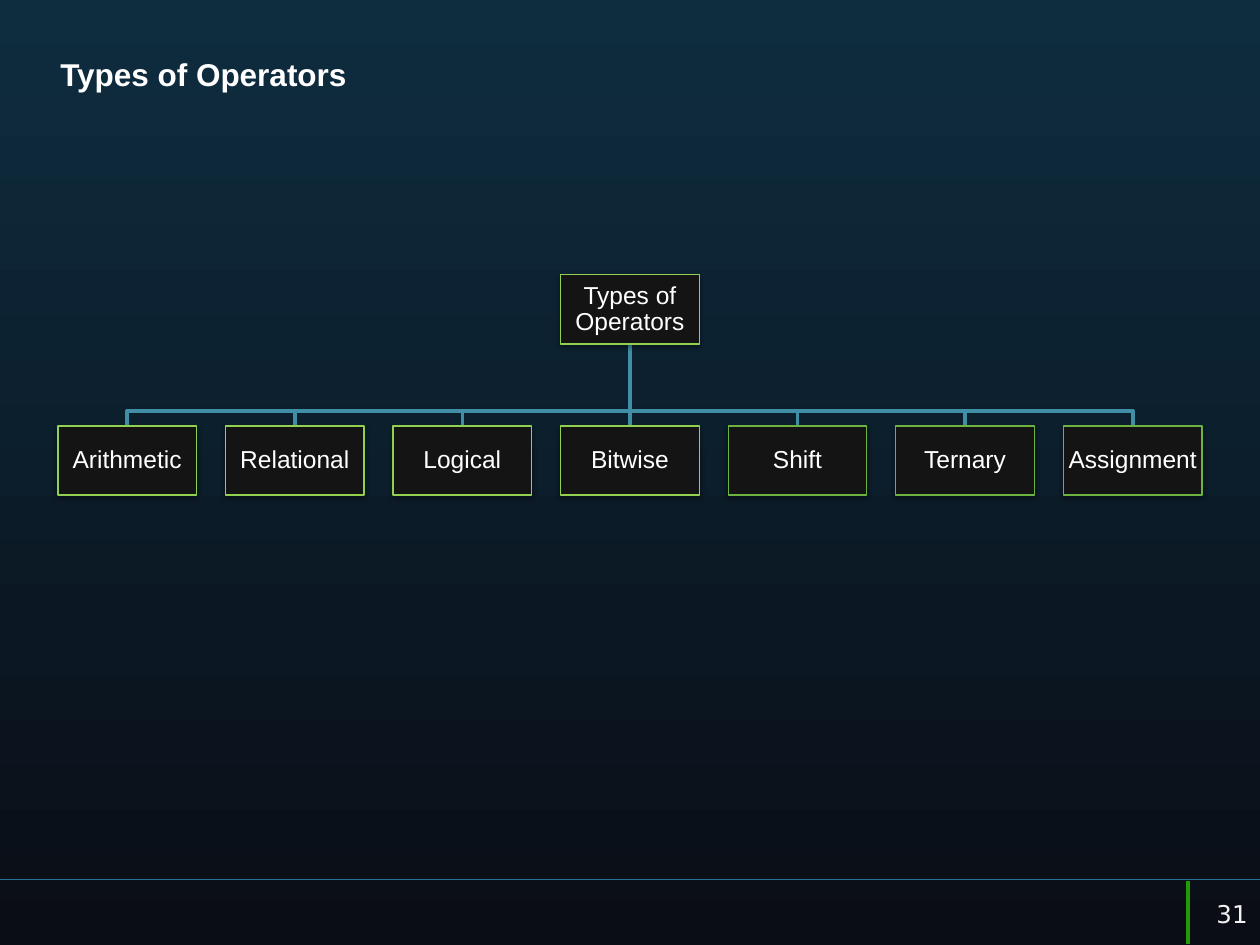
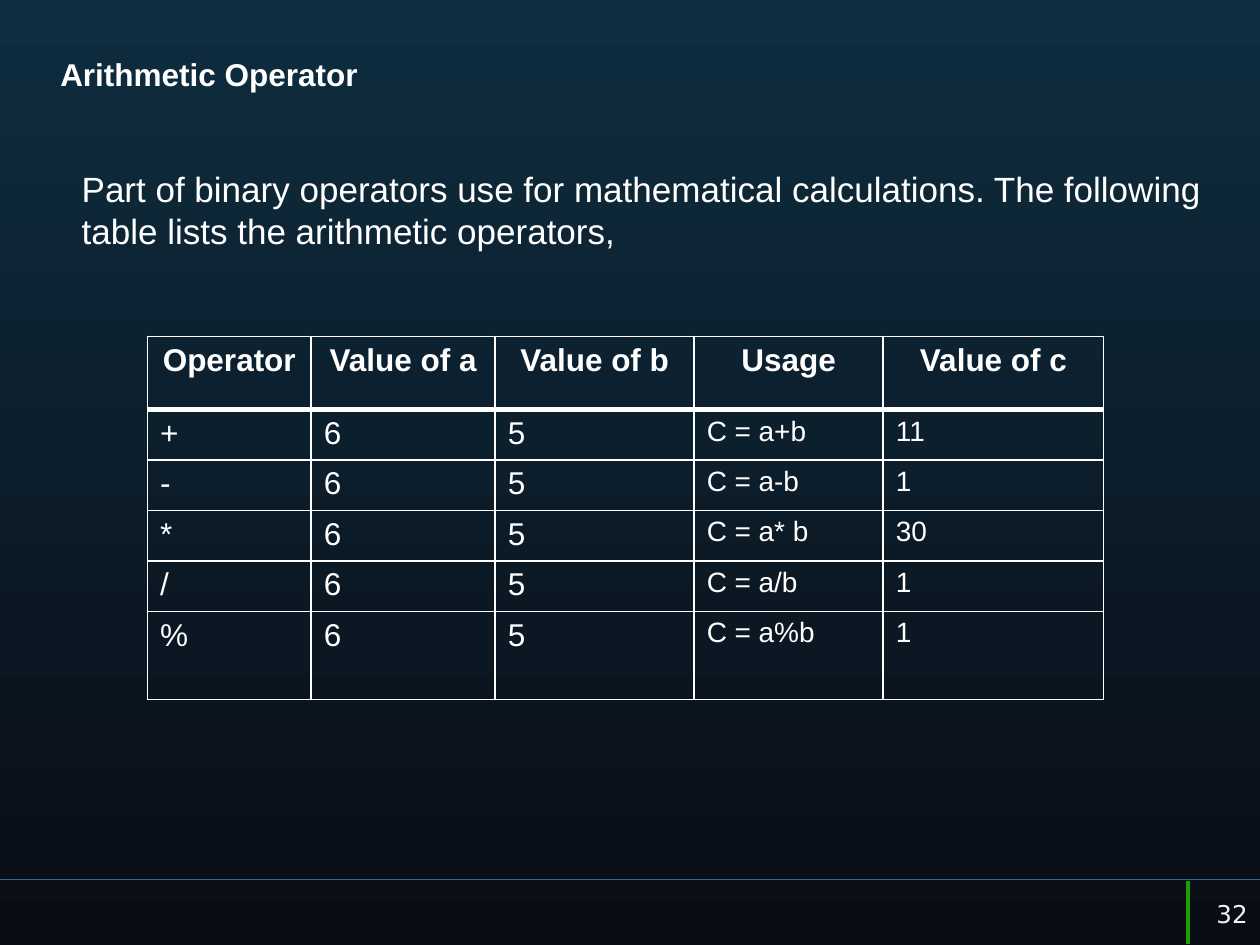
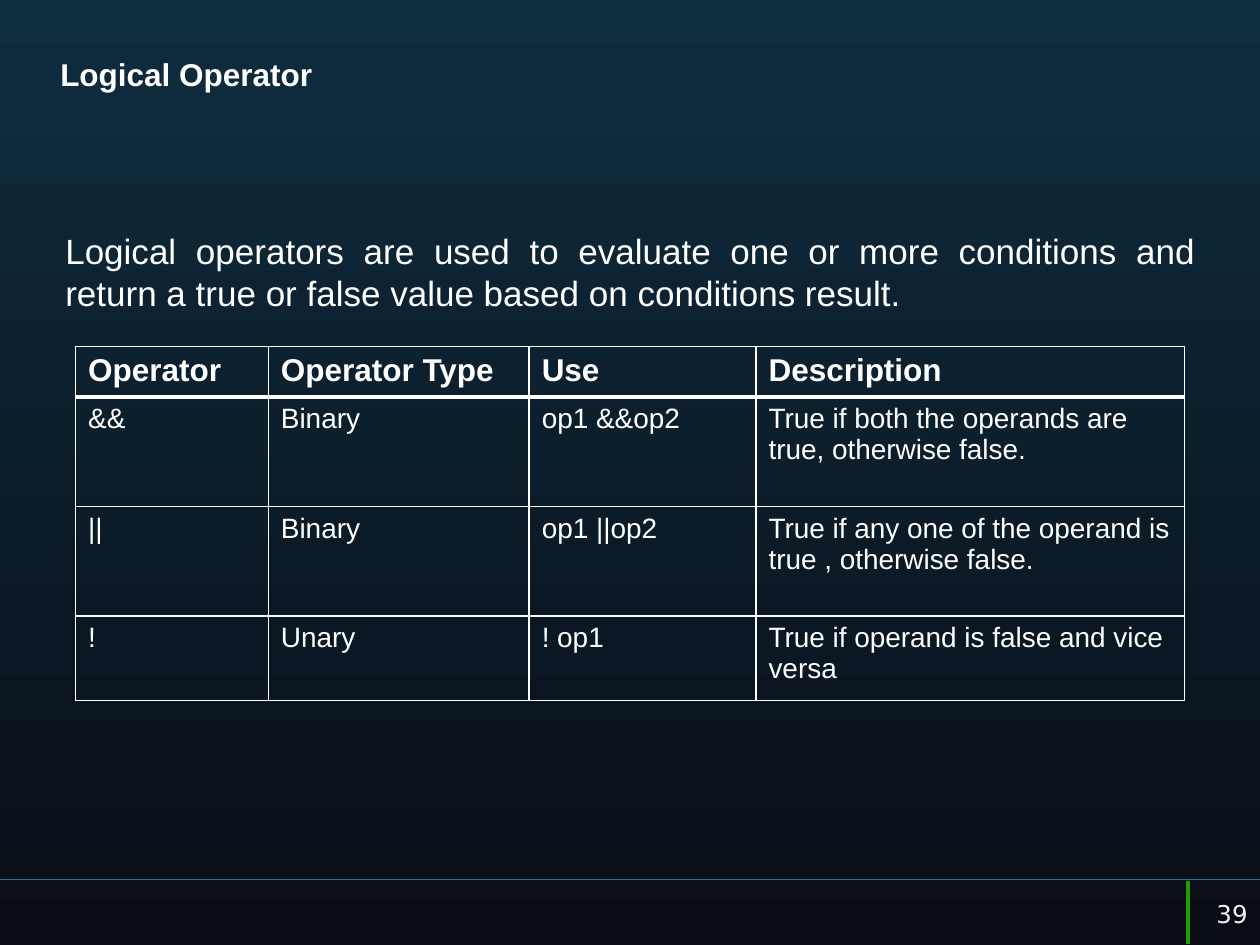
"""Build three slides on operators: a type tree and two operator tables."""
from dataclasses import dataclass
from typing import Optional

from lxml import etree
from pptx import Presentation
from pptx.dml.color import RGBColor
from pptx.enum.shapes import MSO_CONNECTOR, MSO_SHAPE
from pptx.enum.text import MSO_ANCHOR, PP_ALIGN
from pptx.oxml.ns import qn
from pptx.util import Emu, Pt

LEFT, CENTER, RIGHT, JUSTIFY = PP_ALIGN.LEFT, PP_ALIGN.CENTER, PP_ALIGN.RIGHT, PP_ALIGN.JUSTIFY
TOP, MIDDLE = MSO_ANCHOR.TOP, MSO_ANCHOR.MIDDLE
RECT, STRAIGHT = MSO_SHAPE.RECTANGLE, MSO_CONNECTOR.STRAIGHT

EMU_PER_PX = 9144
SLIDE_W, SLIDE_H = 1000, 750

WHITE = RGBColor(0xFF, 0xFF, 0xFF)
OFF_WHITE = RGBColor(0xF2, 0xF2, 0xF2)
BG_TOP = RGBColor(0x0E, 0x2D, 0x3F)
BG_BOTTOM = RGBColor(0x0A, 0x0D, 0x16)
RULE_BLUE = RGBColor(0x28, 0x70, 0x94)
RULE_GREEN = RGBColor(0x20, 0x9D, 0x03)
BRANCH = RGBColor(0x40, 0x8F, 0xA6)
NODE_FILL = RGBColor(0x14, 0x14, 0x14)
LIME = RGBColor(0x92, 0xD0, 0x50)
GREEN = RGBColor(0x6D, 0xB3, 0x3F)

NODE_W, NODE_H, NODE_STEP = 110, 55, 133
ROOT_TOP, LEAF_TOP, LEAF_LEFT, BUS_Y = 218, 338, 46, 326


@dataclass(frozen=True)
class Box:
    """A rectangle in px."""
    x: int
    y: int
    w: int
    h: int

    def emu(self) -> list[Emu]:
        """Return left, top, width and height in EMU."""
        return [px(v) for v in (self.x, self.y, self.w, self.h)]


@dataclass(frozen=True)
class Style:
    """The look of a run and its paragraph."""
    size: int
    color: RGBColor = WHITE
    bold: bool = False
    align: PP_ALIGN = LEFT
    font: str = "Arial"


@dataclass(frozen=True)
class Node:
    """A box of the type tree."""
    text: str
    line: RGBColor


@dataclass(frozen=True)
class Grid:
    """A table with its measures, body text sizes per column and rows of text."""
    x: int
    y: int
    cols: list[int]
    rows: list[int]
    sizes: list[int]
    head_align: PP_ALIGN
    cells: list[list[str]]


TITLE = Style(18, bold=True)
NUMBER = Style(14, OFF_WHITE, align=RIGHT, font="DejaVu Sans")
NODE = Style(14, align=CENTER)

ROOT = Node("Types of Operators", LIME)
LEAVES = [
    Node("Arithmetic", LIME), Node("Relational", LIME), Node("Logical", LIME),
    Node("Bitwise", LIME), Node("Shift", GREEN), Node("Ternary", GREEN),
    Node("Assignment", GREEN),
]

ARITHMETIC = Grid(
    117, 267, [130, 146, 158, 150, 175], [58, 38, 38, 38, 38, 70],
    [18, 18, 18, 16, 16], CENTER,
    [
        ["Operator", "Value of a", "Value of b", "Usage", "Value of c"],
        ["+", "6", "5", "C = a+b", "11"],
        ["-", "6", "5", "C = a-b", "1"],
        ["*", "6", "5", "C = a* b", "30"],
        ["/", "6", "5", "C = a/b", "1"],
        ["%", "6", "5", "C = a%b", "1"],
    ],
)
LOGICAL = Grid(
    60, 275, [153, 207, 180, 340], [38, 87, 87, 67], [16] * 4, LEFT,
    [
        ["Operator", "Operator Type", "Use", "Description"],
        ["&&", "Binary", "op1 &&op2", "True if both the operands are true, otherwise false."],
        ["||", "Binary", "op1 ||op2", "True if any one of the operand is true , otherwise false."],
        ["!", "Unary", "! op1", "True if operand is false and vice versa"],
    ],
)


def px(value: int) -> Emu:
    """Turn px into EMU."""
    return Emu(value * EMU_PER_PX)


def add_run(p, text: str, style: Style) -> None:
    """Add one styled run to a paragraph."""
    p.alignment = style.align
    r = p.add_run()
    r.text = text
    r.font.size = Pt(style.size)
    r.font.name = style.font
    r.font.bold = style.bold
    r.font.color.rgb = style.color


def add_text(s, box: Box, text: str, style: Style, anchor=TOP,
             inset_top: Optional[int] = None) -> None:
    """Add a wrapping text box."""
    tf = s.shapes.add_textbox(*box.emu()).text_frame
    tf.word_wrap = True
    tf.vertical_anchor = anchor
    if inset_top is not None:
        tf.margin_top = px(inset_top)
    add_run(tf.paragraphs[0], text, style)


def add_line(s, x1: int, y1: int, x2: int, y2: int, color: RGBColor, width: float) -> None:
    """Add a straight line without a shadow."""
    cn = s.shapes.add_connector(STRAIGHT, px(x1), px(y1), px(x2), px(y2))
    cn.line.color.rgb = color
    cn.line.width = Pt(width)
    etree.SubElement(cn._element.spPr, qn("a:effectLst"))


def add_slide(prs, title: str, number: int):
    """Add a slide with background, footer rules, title and number."""
    s = prs.slides.add_slide(prs.slide_layouts[6])
    fill = s.background.fill
    fill.gradient()
    fill.gradient_angle = 270
    for stop, color, position in zip(fill.gradient_stops, (BG_TOP, BG_BOTTOM), (0, 1)):
        stop.color.rgb = color
        stop.position = position
    add_line(s, SLIDE_W, 698, 0, 698, RULE_BLUE, 0.75)
    add_line(s, 943, 699, 943, 749, RULE_GREEN, 2)
    add_text(s, Box(38, 39, 918, 66), title, TITLE)
    add_text(s, Box(942, 700, 58, 50), str(number), NUMBER, MIDDLE)
    return s


def add_branch(s, x1: int, x2: int) -> None:
    """Join the root to a leaf, with an elbow unless it lies straight below."""
    top = ROOT_TOP + NODE_H
    if x1 == x2:
        add_line(s, x1, top, x2, LEAF_TOP, BRANCH, 2)
        return
    builder = s.shapes.build_freeform(x1, top, scale=EMU_PER_PX)
    builder.add_line_segments([(x1, BUS_Y), (x2, BUS_Y), (x2, LEAF_TOP)], close=False)
    sp = builder.convert_to_shape()
    sp.shadow.inherit = False
    sp.fill.background()
    sp.line.color.rgb = BRANCH
    sp.line.width = Pt(2)


def add_node(s, node: Node, x: int, y: int) -> None:
    """Add a tree box with a soft shadow below it."""
    sp = s.shapes.add_shape(RECT, *Box(x, y, NODE_W, NODE_H).emu())
    sp.fill.solid()
    sp.fill.fore_color.rgb = NODE_FILL
    sp.line.color.rgb = node.line
    sp.line.width = Pt(0.75)
    sp.shadow.inherit = False
    effects = sp._element.spPr.find(qn("a:effectLst"))
    shadow = etree.SubElement(effects, qn("a:outerShdw"), blurRad=str(Pt(3.1)),
                              dist=str(Pt(1.6)), dir="5400000", rotWithShape="0")
    color = etree.SubElement(shadow, qn("a:srgbClr"), val="000000")
    etree.SubElement(color, qn("a:alpha"), val="38000")
    tf = sp.text_frame
    tf.word_wrap = True
    tf.vertical_anchor = MIDDLE
    tf.margin_left = tf.margin_right = tf.margin_top = tf.margin_bottom = px(1)
    p = tf.paragraphs[0]
    p.line_spacing = 0.9
    add_run(p, node.text, NODE)


def add_tree(s) -> None:
    """Draw the root, its leaves and the branches between them."""
    root_x = (SLIDE_W - NODE_W) // 2
    lefts = [LEAF_LEFT + i * NODE_STEP for i in range(len(LEAVES))]
    for x in reversed(lefts):
        add_branch(s, root_x + NODE_W // 2, x + NODE_W // 2)
    add_node(s, ROOT, root_x, ROOT_TOP)
    for node, x in zip(LEAVES, lefts):
        add_node(s, node, x, LEAF_TOP)


def set_borders(cell, top: int, bottom: int) -> None:
    """Give a cell white borders, with widths in points for top and bottom."""
    tc_pr = cell._tc.get_or_add_tcPr()
    for tag, width in (("lnL", 1), ("lnR", 1), ("lnT", top), ("lnB", bottom)):
        ln = etree.SubElement(tc_pr, qn(f"a:{tag}"), w=str(Pt(width)))
        fill = etree.SubElement(ln, qn("a:solidFill"))
        etree.SubElement(fill, qn("a:srgbClr"), val=str(WHITE))


def add_grid(s, grid: Grid) -> None:
    """Add a clear table with white borders and a heavy rule under its header."""
    box = Box(grid.x, grid.y, sum(grid.cols), sum(grid.rows))
    table = s.shapes.add_table(len(grid.rows), len(grid.cols), *box.emu()).table
    table.first_row = table.horz_banding = False
    for column, width in zip(table.columns, grid.cols):
        column.width = px(width)
    for i, (row, height) in enumerate(zip(table.rows, grid.rows)):
        row.height = px(height)
        for cell, text, size in zip(row.cells, grid.cells[i], grid.sizes):
            set_borders(cell, 3 if i == 1 else 1, 3 if i == 0 else 1)
            cell.fill.background()
            style = Style(18, bold=True, align=grid.head_align) if i == 0 else Style(size)
            add_run(cell.text_frame.paragraphs[0], text, style)


def main() -> None:
    """Build the slides and save them."""
    prs = Presentation()
    prs.slide_width, prs.slide_height = px(SLIDE_W), px(SLIDE_H)

    add_tree(add_slide(prs, "Types of Operators", 31))

    s = add_slide(prs, "Arithmetic Operator", 32)
    add_text(s, Box(55, 83, 917, 543),
             "Part of binary operators use for mathematical calculations. "
             "The following table lists the arithmetic operators,",
             Style(20), inset_top=50)
    add_grid(s, ARITHMETIC)

    s = add_slide(prs, "Logical Operator", 39)
    add_text(s, Box(42, 124, 917, 506),
             "Logical operators are used to evaluate one or more conditions and "
             "return a true or false value based on conditions result.",
             Style(20, align=JUSTIFY), inset_top=58)
    add_grid(s, LOGICAL)

    prs.save("out.pptx")


if __name__ == "__main__":
    main()
